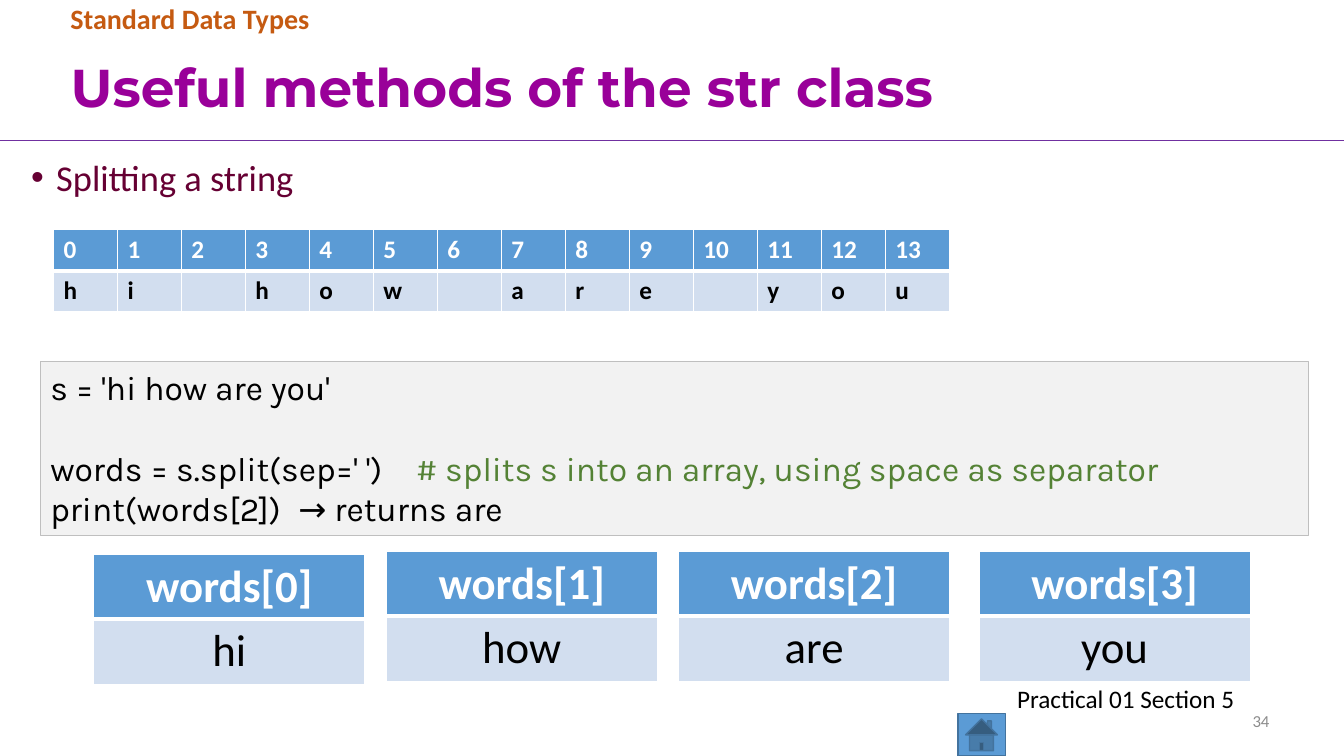
from dataclasses import dataclass

from lxml.etree import SubElement
from pptx import Presentation
from pptx.dml.color import RGBColor
from pptx.enum.shapes import MSO_CONNECTOR, MSO_SHAPE
from pptx.enum.text import MSO_ANCHOR, MSO_AUTO_SIZE, PP_ALIGN
from pptx.oxml.ns import qn
from pptx.util import Emu, Pt

PX = 9144  # 100 px to the inch
COLORS = {
    "title": "990099", "section": "C55A11", "bullet": "660033",
    "rule": "7030A0", "header": "5B9BD5", "button_edge": "43739E",
    "body": "D2DEEF", "code_fill": "F2F2F2", "code_edge": "BFBFBF",
    "comment": "548235", "number": "8C8C8C", "white": "FFFFFF", "black": "000000",
}


@dataclass(frozen=True)
class Box:
    left: int
    top: int
    width: int
    height: int

    def emu(self) -> tuple[Emu, ...]:
        return tuple(px(v) for v in (self.left, self.top, self.width, self.height))


@dataclass(frozen=True)
class Style:
    size: int
    color: str
    bold: bool = False
    font: str = "Calibri"


@dataclass(frozen=True)
class Label:
    text: str
    box: Box
    style: Style
    align: PP_ALIGN = PP_ALIGN.LEFT
    anchor: MSO_ANCHOR = MSO_ANCHOR.TOP
    line_spacing: float = 1.0
    bulleted: bool = False


@dataclass(frozen=True)
class CodeLine:
    colored_runs: tuple[tuple[str, str], ...]
    tab: int = 0
    space_before: int = 0


@dataclass(frozen=True)
class Grid:
    rows: tuple[tuple[str, ...], ...]
    box: Box
    size: int
    body_bold: bool
    align: PP_ALIGN


def px(value: int) -> Emu:
    return Emu(value * PX)


def rgb(name: str) -> RGBColor:
    return RGBColor.from_string(COLORS[name])


def add_run(paragraph, text: str, style: Style) -> None:
    run = paragraph.add_run()
    run.text = text
    run.font.name = style.font
    run.font.size = Pt(style.size)
    run.font.bold = style.bold
    run.font.color.rgb = rgb(style.color)


def write_label(shape, label: Label) -> None:
    """Place a title or text box and fill it with its single paragraph."""
    shape.left, shape.top, shape.width, shape.height = label.box.emu()
    frame = shape.text_frame
    frame.word_wrap = True
    frame.auto_size = MSO_AUTO_SIZE.NONE
    frame.vertical_anchor = label.anchor
    paragraph = frame.paragraphs[0]
    paragraph.alignment = label.align
    paragraph.line_spacing = label.line_spacing
    if label.bulleted:
        props = paragraph._p.get_or_add_pPr()
        props.set("marL", str(px(25)))
        props.set("indent", str(px(-25)))
        SubElement(props, qn("a:buFont"), typeface="Arial")
        SubElement(props, qn("a:buChar"), char="•")
    add_run(paragraph, label.text, label.style)


def add_box(slide, kind: MSO_SHAPE, box: Box, fill: str, edge: str, weight: float):
    shape = slide.shapes.add_shape(kind, *box.emu())
    shape.shadow.inherit = False
    shape.fill.solid()
    shape.fill.fore_color.rgb = rgb(fill)
    shape.line.color.rgb = rgb(edge)
    shape.line.width = Pt(weight)
    return shape


def add_rule(slide, top: int, width: int) -> None:
    rule = slide.shapes.add_connector(MSO_CONNECTOR.STRAIGHT, 0, px(top), px(width), px(top))
    rule.line.color.rgb = rgb("rule")
    rule.line.width = Pt(0.5)
    SubElement(rule._element.spPr, qn("a:effectLst"))


def add_code(slide, box: Box, lines: list[CodeLine]) -> None:
    frame = add_box(slide, MSO_SHAPE.RECTANGLE, box, "code_fill", "code_edge", 0.75).text_frame
    frame.word_wrap = True
    frame.vertical_anchor = MSO_ANCHOR.TOP
    for index, line in enumerate(lines):
        paragraph = frame.add_paragraph() if index else frame.paragraphs[0]
        paragraph.alignment = PP_ALIGN.LEFT
        paragraph.space_before = Pt(line.space_before)
        if line.tab:
            tabs = SubElement(paragraph._p.get_or_add_pPr(), qn("a:tabLst"))
            SubElement(tabs, qn("a:tab"), pos=str(px(line.tab)), algn="l")
        for text, color in line.colored_runs:
            add_run(paragraph, text, Style(24, color, font="Karla"))


def set_borders(cell, top: int, bottom: int) -> None:
    """Draw white cell borders; the sides are always 1 pt."""
    props = cell._tc.get_or_add_tcPr()
    for side, weight in (("L", 1), ("R", 1), ("T", top), ("B", bottom)):
        line = SubElement(props, qn(f"a:ln{side}"), w=str(Pt(weight)))
        fill = SubElement(line, qn("a:solidFill"))
        SubElement(fill, qn("a:srgbClr"), val=COLORS["white"])


def add_grid(slide, grid: Grid) -> None:
    table = slide.shapes.add_table(len(grid.rows), len(grid.rows[0]), *grid.box.emu()).table
    for r, row in enumerate(grid.rows):
        is_header = r == 0
        style = Style(grid.size, "white" if is_header else "black", is_header or grid.body_bold)
        for c, text in enumerate(row):
            cell = table.cell(r, c)
            set_borders(cell, 1 if is_header else 3, 3 if is_header else 1)
            cell.fill.solid()
            cell.fill.fore_color.rgb = rgb("header" if is_header else "body")
            paragraph = cell.text_frame.paragraphs[0]
            paragraph.alignment = grid.align
            if text.strip():
                add_run(paragraph, text, style)
            else:
                paragraph.font.size = Pt(grid.size)


TITLE = Label("Useful methods of the str class", Box(60, 41, 1209, 97),
              Style(38, "title", True, "Montserrat"),
              anchor=MSO_ANCHOR.MIDDLE, line_spacing=0.9)
LABELS = [
    Label("34", Box(942, 695, 327, 40), Style(12, "number"), PP_ALIGN.RIGHT, MSO_ANCHOR.MIDDLE),
    Label("Standard Data Types", Box(60, 0, 1034, 41), Style(20, "section", True),
          line_spacing=0.9),
    Label("Splitting a string", Box(21, 149, 1296, 55), Style(26, "bullet"), bulleted=True),
    Label("Practical 01 Section 5", Box(999, 673, 277, 40), Style(18, "black")),
]
CODE = [
    CodeLine((("s = 'hi how are you'", "black"),)),
    CodeLine((("words = s.split(sep=' ')\t", "black"),
              ("# splits s into an array, using space as separator", "comment")),
             tab=363, space_before=29),
    CodeLine((("print(words[2])\t→ returns are", "black"),), tab=246),
]
SENTENCE = "hi how are you"
WORD_CORNERS = [(93, 550), (383, 547), (673, 547), (971, 547)]


def main() -> None:
    deck = Presentation()
    deck.slide_width, deck.slide_height = px(1333), px(750)
    slide = deck.slides.add_slide(deck.slide_layouts[5])

    add_rule(slide, 139, 1333)
    add_box(slide, MSO_SHAPE.ACTION_BUTTON_HOME, Box(950, 708, 47, 42), "header", "button_edge", 1)
    write_label(slide.shapes.title, TITLE)
    for label in LABELS:
        write_label(slide.shapes.add_textbox(*label.box.emu()), label)
    add_code(slide, Box(40, 359, 1258, 172), CODE)

    positions = tuple(str(i) for i in range(len(SENTENCE)))
    add_grid(slide, Grid((positions, tuple(SENTENCE)), Box(53, 228, 889, 81),
                         18, True, PP_ALIGN.LEFT))
    for index, (word, (left, top)) in enumerate(zip(SENTENCE.split(), WORD_CORNERS)):
        add_grid(slide, Grid(((f"words[{index}]",), (word,)), Box(left, top, 269, 127),
                             32, False, PP_ALIGN.CENTER))
    deck.save("out.pptx")


if __name__ == "__main__":
    main()
